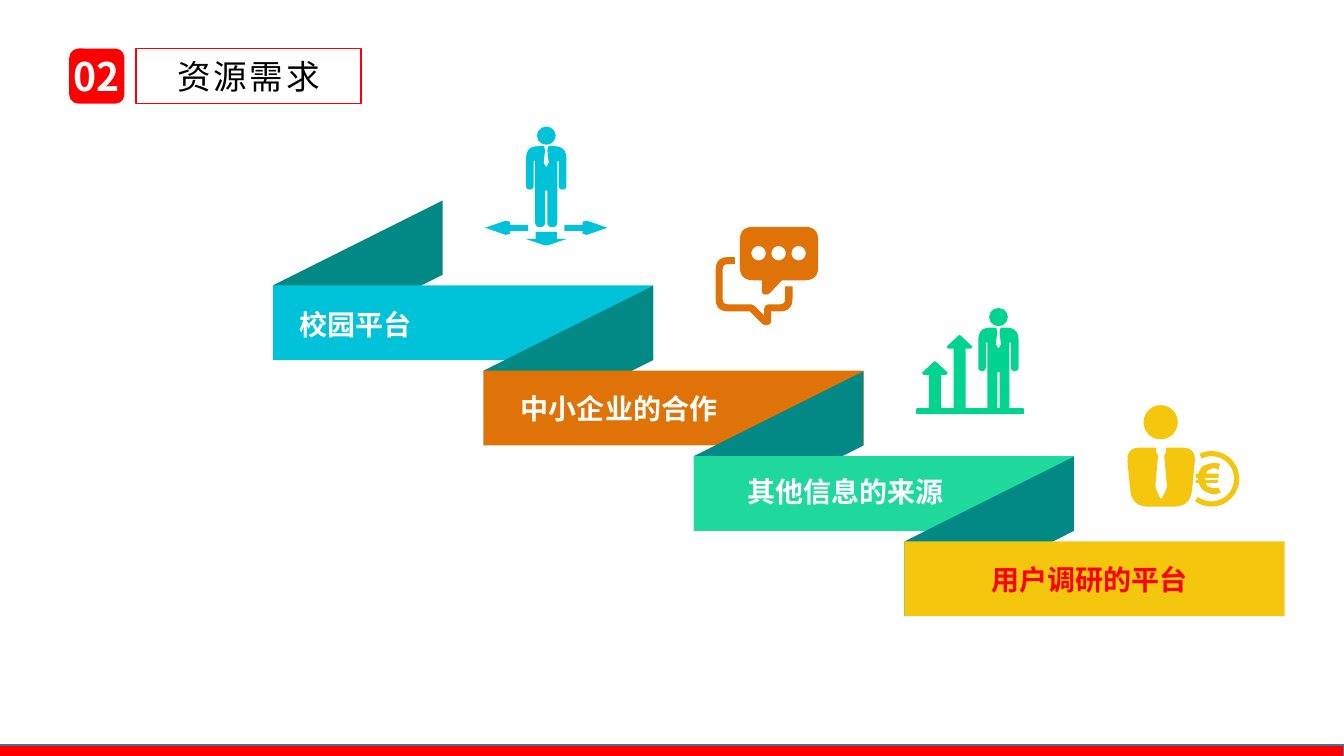
import math

import pptx
import pptx.dml.color
import pptx.enum.shapes
import pptx.enum.text
import pptx.oxml.ns
import pptx.util
from lxml import etree

Pt = pptx.util.Pt
SHAPE = pptx.enum.shapes.MSO_SHAPE
ALIGN = pptx.enum.text.PP_ALIGN
ANCHOR = pptx.enum.text.MSO_ANCHOR
FIT = pptx.enum.text.MSO_AUTO_SIZE
qn = pptx.oxml.ns.qn

FONT = "Noto Sans CJK SC"
COLORS = {
    "red": "FF0000", "black": "000000", "white": "FFFFFF", "fold": "028985",
    "blue": "00C3D9", "orange": "DF7307", "mint": "1FD89C", "green": "01D48F",
    "yellow": "F4C60E", "edge": "43739E",
}


def rounded(corners):
    """Turn (x, y[, radius]) corners into points, rounding those with a radius."""
    points = []
    for i, (x, y, *radius) in enumerate(corners):
        if not radius:
            points.append((x, y))
            continue
        ends = []
        for nx, ny, *_ in (corners[i - 1], corners[(i + 1) % len(corners)]):
            share = radius[0] / math.dist((x, y), (nx, ny))
            ends.append((x + (nx - x) * share, y + (ny - y) * share))
        (ax, ay), (bx, by) = ends
        for t in (0, 0.2, 0.4, 0.6, 0.8, 1):
            u = 1 - t
            points.append((u * u * ax + 2 * u * t * x + t * t * bx,
                           u * u * ay + 2 * u * t * y + t * t * by))
    return points


def symmetric(half):
    """Complete a right half with its mirror image about x = 0."""
    return half + [(-x, *rest) for x, *rest in reversed(half) if x]


def arc(cx, cy, radius, start, end, steps=40):
    angles = [math.radians(start + (end - start) * i / steps) for i in range(steps + 1)]
    return [(cx + radius * math.cos(a), cy + radius * math.sin(a)) for a in angles]


class SlideBuilder:
    def __init__(self, prs):
        self.slide = prs.slides.add_slide(prs.slide_layouts[5])
        self.shapes = self.slide.shapes

    def color(self, name):
        return pptx.dml.color.RGBColor.from_string(COLORS[name])

    def paint(self, sp, fill=None, line=None):
        sp.shadow.inherit = False
        for target, name in ((sp.fill, fill), (sp.line.fill, line)):
            if name:
                target.solid()
                target.fore_color.rgb = self.color(name)
            else:
                target.background()
        if line:
            sp.line.width = Pt(1)
        return sp

    def add_text(self, sp, text, size, color, align=None, spacing=None, bold=False, **frame):
        tf = sp.text_frame
        for name, value in frame.items():
            setattr(tf, name, value)
        p = tf.paragraphs[0]
        p.alignment = align
        r = p.add_run()
        r.text = text
        for name, value in {"name": FONT, "size": Pt(size), "bold": bold}.items():
            setattr(r.font, name, value)
        r.font.color.rgb = self.color(color)
        rpr = r.font._element
        etree.SubElement(rpr, qn("a:ea"), typeface=FONT)
        if spacing:
            rpr.set("spc", str(spacing * 100))

    def title(self, text, x, y, w, h):
        sp = self.shapes.title
        for name, value in {"left": x, "top": y, "width": w, "height": h}.items():
            setattr(sp, name, Pt(value))
        geom = etree.SubElement(sp.element.spPr, qn("a:prstGeom"), prst="roundRect")
        etree.SubElement(geom, qn("a:avLst"))
        self.paint(sp, line="red")
        self.add_text(sp, text, 24, "black", ALIGN.CENTER, spacing=2,
                      vertical_anchor=ANCHOR.MIDDLE, auto_size=FIT.NONE)

    def shape(self, kind, x, y, w, h, fill, line=None):
        sp = self.shapes.add_shape(kind, Pt(x), Pt(y), Pt(w), Pt(h))
        return self.paint(sp, fill, line)

    def label(self, text, x, y, color):
        sp = self.shapes.add_textbox(Pt(x), Pt(y), Pt(157.7), Pt(31.5))
        self.add_text(sp, text, 20, color, bold=True, word_wrap=True,
                      auto_size=FIT.SHAPE_TO_FIT_TEXT)

    def outline(self, x, y, fill, *contours):
        """Draw closed contours, given relative to (x, y); later ones are holes."""
        fb = None
        for corners in contours:
            points = [(Pt(x + px), Pt(y + py)) for px, py in rounded(corners)]
            if fb is None:
                fb = self.shapes.build_freeform(*points[0], scale=1.0)
            else:
                fb.move_to(*points[0])
            fb.add_line_segments(points[1:], close=True)
        return self.paint(fb.convert_to_shape(), fill)

    def standing_man(self, x, y, fill, foot):
        """Draw a man centred on x with shoulders at y and feet of radius foot."""
        self.shape(SHAPE.OVAL, x - 6.7, y - 14, 13.4, 13, fill)
        self.outline(x, y, fill, symmetric([
            (0, 15.1, 1), (1.8, 12), (0.8, 2.9), (1.6, 0), (14.4, 0, 8.6),
            (14.4, 31, 2.6), (9, 31, 2.6), (9, 10.8), (7.9, 10.8),
            (7.9, 57.8, foot), (0.8, 57.8, foot), (0.8, 31.7)]))

    def growth_arrow(self, x, y, height, fill):
        self.outline(x, y, fill, symmetric([
            (0, 0, 1.2), (9.2, 8.6), (8.2, 10.1), (4.3, 10.1), (4.3, height)]))


def draw_ribbon(s):
    for i, fill in enumerate(("blue", "orange", "mint", "yellow")):
        x, y = 195.1 + 150.3 * i, 203.8 + 61 * i
        s.outline(x, y, "fold", [(121, -7.5), (0, 53.5), (0, 0), (121, -60.5)])
        s.shape(SHAPE.RECTANGLE, x, y, 271.6, 53.4, fill)


def draw_investor(s):
    s.outline(829.4, 319.7, "yellow", symmetric([
        (0, 37.4, 2), (4.3, 28.8, 3), (2.2, 5.8), (3.6, 3), (3.6, 0),
        (25, 0, 10), (21, 42.3, 12)]))
    s.shape(SHAPE.OVAL, 816.8, 289.4, 24.5, 24.5, "yellow")
    s.outline(865.4, 342, "yellow",
              arc(0, 0, 19.8, -116, 127) + arc(0, 0, 16.1, 127, -116))
    s.outline(853.9, 330.5, "yellow", [
        (18, 21.6), (16.6, 18), (13, 18.2, 2), (8.6, 17.3, 2), (7.2, 14.4),
        (15.5, 14.4), (16.4, 13.3), (15.5, 12.2), (7, 12.2), (7, 10.8),
        (16, 10.8), (17, 9.4), (16, 7.9), (7.2, 7.9), (8.6, 5.6, 1.2),
        (13, 3.6, 2), (16.6, 5), (17.5, 0.7), (12.2, 0, 3), (4.5, 2.5, 2.5),
        (2, 7.9), (0.7, 7.9), (0, 9.4), (0.7, 10.8), (2, 10.8), (2, 12.2),
        (0.5, 12.2), (0, 13.3), (0.5, 14.4), (2.2, 14.4), (4.5, 19.2, 2.5),
        (12.2, 23, 3)])


def draw_growth(s):
    s.standing_man(713.2, 234, "green", foot=0)
    s.growth_arrow(685.4, 239, 53.3, "green")
    s.growth_arrow(667.8, 257.6, 34.7, "green")
    s.outline(654.5, 291.6, "green",
              [(0, 0, 1), (77, 0, 1), (77, 4.3, 1), (0, 4.3, 1)])


def draw_chat(s):
    dots = [arc(13.4 + 14.3 * i, 18.9, 5.1, 0, 360) for i in range(3)]
    s.outline(528.5, 162, "orange", [
        (0, 0, 9.4), (56, 0, 9.4), (56, 38.2, 9.4), (30.2, 38.2),
        (20.5, 48.4, 2), (15.8, 48.4, 2.5), (15.8, 38.2), (0, 38.2, 9.4)], *dots)
    s.outline(511.2, 183.6, "orange", [
        (49.7, 20.9), (49.7, 33.8, 4), (34.6, 33.8, 4), (34.6, 41.8),
        (26.6, 33.8, 2), (5, 33.8, 4), (5, 5, 4), (13.7, 5), (13.7, 0),
        (0, 0, 9), (0, 38.9, 9), (24.5, 38.9), (34.5, 49, 2.5),
        (39.6, 48, 2.5), (39.6, 38.9), (54.9, 38.9, 9), (54.9, 20.9)])


def draw_directions(s):
    x = 390.2
    s.outline(x, 165.6, "blue",
              symmetric([(0, 10.1, 2), (15, 5), (7.6, 5), (7.6, 0)]))
    side_arrow = [(13, 2.9), (25.9, 2.9), (25.9, 0.7), (29, 0), (43.7, 5),
                  (29, 10.1), (25.9, 9.4), (25.9, 7.2), (13, 7.2)]
    for side in (1, -1):
        s.outline(x, 157.7, "blue", [(side * px, py) for px, py in side_arrow])
    s.standing_man(x, 104.4, "blue", foot=3.4)


def main():
    prs = pptx.Presentation()
    prs.slide_width, prs.slide_height = Pt(960), Pt(540)
    s = SlideBuilder(prs)
    s.title("资源需求", 97.2, 34.7, 160.6, 39.4)
    badge = s.shape(SHAPE.ROUNDED_RECTANGLE, 49.5, 34.7, 39.4, 39.4, "red")
    s.add_text(badge, "02", 28, "white", ALIGN.CENTER, bold=True,
               vertical_anchor=ANCHOR.MIDDLE, margin_left=0, margin_right=0,
               margin_top=0, margin_bottom=0)
    draw_ribbon(s)
    for draw_icon in (draw_investor, draw_growth, draw_chat, draw_directions):
        draw_icon(s)
    for text, x, y, color in (("校园平台", 206.6, 216, "white"),
                              ("中小企业的合作", 365, 275.8, "white"),
                              ("其他信息的来源", 527, 335.5, "white"),
                              ("用户调研的平台", 701.3, 398.2, "red")):
        s.label(text, x, y, color)
    s.shape(SHAPE.RECTANGLE, -0.7, 532.1, 960.7, 9.4, "red", "edge")
    prs.save("out.pptx")


if __name__ == "__main__":
    main()
